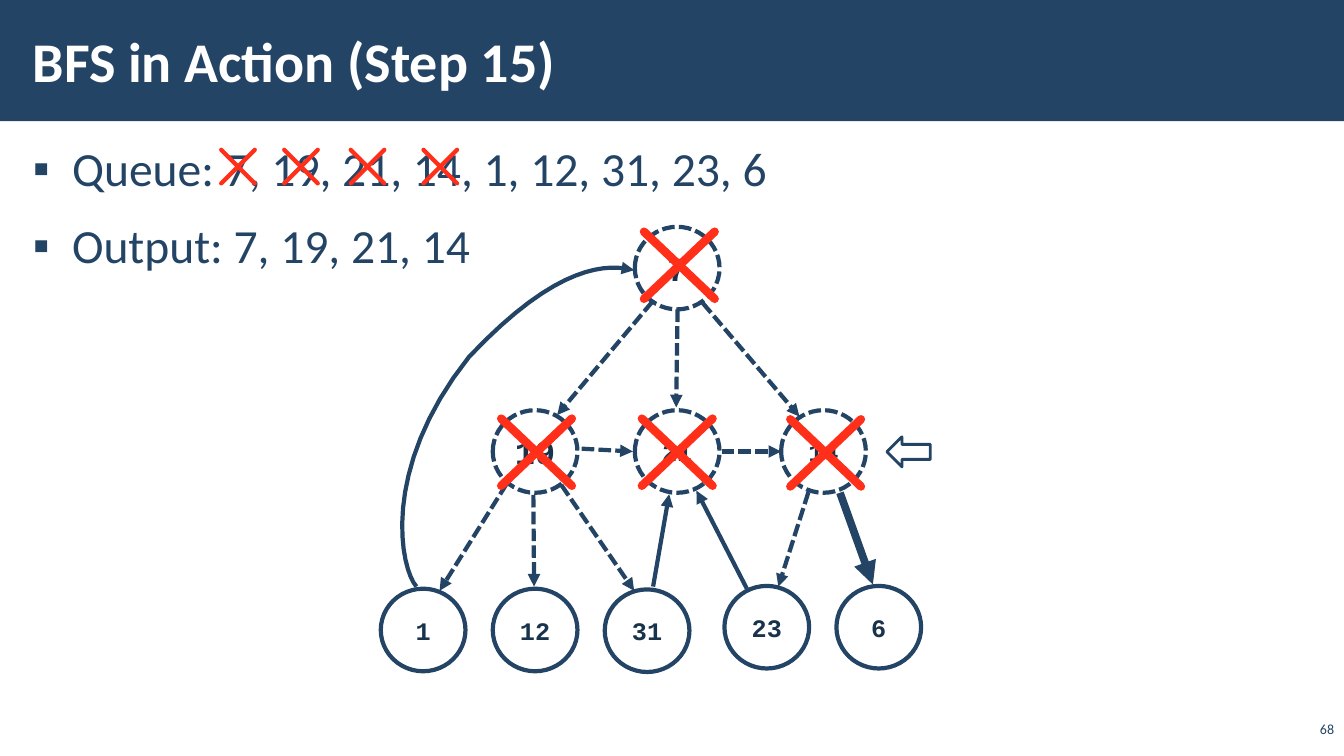
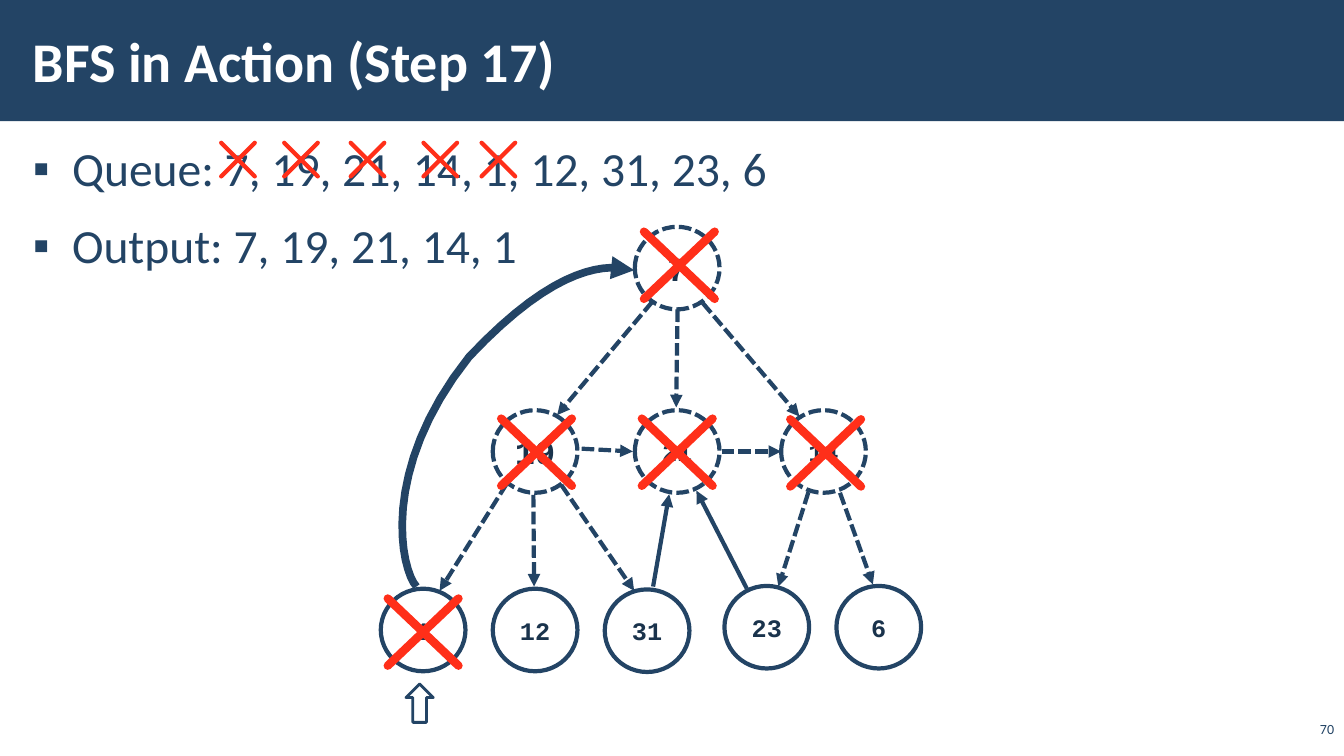
"""Build two slides that trace a breadth-first search on a small graph."""
from lxml.etree import SubElement
from pptx import Presentation
from pptx.dml.color import RGBColor
from pptx.enum.dml import MSO_LINE_DASH_STYLE as Dash
from pptx.enum.shapes import MSO_CONNECTOR as Connector
from pptx.enum.shapes import MSO_SHAPE as Shape
from pptx.enum.text import MSO_ANCHOR as Anchor
from pptx.enum.text import MSO_AUTO_SIZE as AutoSize
from pptx.enum.text import PP_ALIGN as Align
from pptx.oxml.ns import qn
from pptx.util import Pt

NAVY, DARK, RED, WHITE = "234465", "1A334C", "FF2F19", "FFFFFF"
NODE_WIDTH, NODE_HEIGHT = 60.5, 59
NODES = {
    "7": (453.5, 162, 24),
    "19": (352, 293, 24),
    "21": (453.5, 293, 18),
    "14": (558, 293, 18),
    "1": (272, 420.5, 18),
    "12": (352, 420.5, 18),
    "31": (432, 421, 18),
    "23": (517.5, 418.5, 18),
    "6": (597.5, 418.5, 18),
}
EXPLORED = ["7", "19", "21", "14"]
EDGES = {
    ("7", "19"): (466, 215.5, 398, 296.5),
    ("7", "21"): (484, 221, 483, 291),
    ("7", "14"): (502, 216.5, 571, 297.5),
    ("19", "1"): (362, 345.5, 314, 422),
    ("19", "12"): (381, 353.5, 381.5, 419),
    ("19", "31"): (401, 346.5, 453, 422),
    ("19", "21"): (415.5, 320.5, 452, 322.5),
    ("21", "14"): (515.5, 322.5, 558, 322.5),
    ("14", "23"): (577.5, 351.5, 556, 419),
    ("14", "6"): (600, 352, 623.5, 417.5),
    ("31", "21"): (466.5, 419, 478, 353),
    ("23", "21"): (533.5, 420.5, 497.5, 350.5),
}
BACK_EDGE = ("1", "7")
BACK_CURVES = [
    [(297.5, 419), (286.5, 407), (270.5, 336), (335, 255)],
    [(335, 255), (399, 187), (435, 188.5), (453, 193)],
]
CURVE_STEPS = 16
NODE_CROSSES = {
    "7": (460, 165.5),
    "19": (358, 299),
    "21": (458.5, 299),
    "14": (564.5, 299.5),
    "1": (277, 427.5),
}
QUEUE_CROSS_LEFTS = [158, 203, 250.5, 302.5, 344]
STEPS = [
    {"number": 15, "page": "68", "visited": EXPLORED, "active": ("14", "6"),
     "cross_top": 107, "pointer": (633.5, 312, 31, 21.5, 180)},
    {"number": 17, "page": "70", "visited": EXPLORED + ["1"], "active": BACK_EDGE,
     "cross_top": 102, "pointer": (286, 492.5, 27.5, 19.5, 270)},
]


def color(value):
    return RGBColor.from_string(value)


def stroke(shape, value, width, dashed=False, arrow=False):
    shape.line.color.rgb = color(value)
    shape.line.width = Pt(width)
    if dashed:
        shape.line.dash_style = Dash.SQUARE_DOT
    outline = shape.element.spPr.find(qn("a:ln"))
    if dashed:
        outline.find(qn("a:prstDash")).set("val", "sysDash")
    if arrow:
        SubElement(outline, qn("a:tailEnd"), type="triangle")
    if value == RED:
        outline.set("cap", "rnd")
    if shape.element.spPr.find(qn("a:effectLst")) is None:
        SubElement(shape.element.spPr, qn("a:effectLst"))


deck = Presentation()
deck.slide_width, deck.slide_height = Pt(960), Pt(540)
layout = deck.slide_layouts[1]

for holder, frame in zip(layout.placeholders, [(15, 8, 765, 70), (15, 94.5, 930, 435.5)]):
    holder.left, holder.top, holder.width, holder.height = map(Pt, frame)
    text = holder.text_frame
    text.margin_left = text.margin_right = Pt(8.5)
    text.margin_top = text.margin_bottom = Pt(3)
    text.auto_size = AutoSize.NONE

for step in STEPS:
    page = deck.slides.add_slide(layout)
    shapes = page.shapes

    if step is STEPS[0]:
        band = shapes.add_shape(Shape.RECTANGLE, 0, 0, Pt(960), Pt(86.5))
        band.shadow.inherit = False
        band.fill.solid()
        band.fill.fore_color.rgb = color(NAVY)
        band.line.fill.background()
        layout.shapes.element.insert(2, band.element)

    title = shapes.title.text_frame
    title.text = f"BFS in Action (Step {step['number']})"
    title.vertical_anchor = Anchor.MIDDLE
    para = title.paragraphs[0]
    para.alignment = Align.LEFT
    span = para.runs[0]
    span.font.name, span.font.size, span.font.bold = "Calibri", Pt(40), True
    span.font.color.rgb = color(WHITE)

    body = page.placeholders[1].text_frame
    body.text = "Queue: 7, 19, 21, 14, 1, 12, 31, 23, 6\nOutput: " + ", ".join(step["visited"])
    for para in body.paragraphs:
        para.line_spacing = 1.05
        para.space_before = para.space_after = Pt(6)
        properties = para._p.get_or_add_pPr()
        properties.set("marL", str(Pt(28)))
        properties.set("indent", str(Pt(-28)))
        SubElement(properties, qn("a:buChar"), char="▪")
        span = para.runs[0]
        span.font.name, span.font.size = "Calibri", Pt(34)
        span.font.color.rgb = color(NAVY)

    box = shapes.add_textbox(Pt(926), Pt(514), Pt(34), Pt(16))
    box.text_frame.word_wrap = True
    box.text_frame.vertical_anchor = Anchor.BOTTOM
    box.text_frame.text = step["page"]
    para = box.text_frame.paragraphs[0]
    para.alignment = Align.RIGHT
    span = para.runs[0]
    span.font.name, span.font.size = "Calibri", Pt(10)
    span.font.color.rgb = color(NAVY)

    for label, (left, top, size) in NODES.items():
        node = shapes.add_shape(Shape.OVAL, Pt(left), Pt(top), Pt(NODE_WIDTH), Pt(NODE_HEIGHT))
        node.shadow.inherit = False
        node.fill.solid()
        node.fill.fore_color.rgb = color(WHITE)
        stroke(node, NAVY, 3, dashed=label in EXPLORED)
        node.text_frame.word_wrap = False
        node.text_frame.vertical_anchor = Anchor.MIDDLE
        node.text_frame.text = label
        para = node.text_frame.paragraphs[0]
        para.alignment = Align.CENTER
        span = para.runs[0]
        span.font.name, span.font.size, span.font.bold = "Courier New", Pt(size), True
        span.font.color.rgb = color(DARK)

    for edge, ends in EDGES.items():
        active = edge == step["active"]
        line = shapes.add_connector(Connector.STRAIGHT, *map(Pt, ends))
        stroke(line, NAVY, 5.5 if active else 3, edge[0] in EXPLORED and not active, arrow=True)

    points = []
    for start, first, second, end in BACK_CURVES:
        for index in range(1, CURVE_STEPS + 1):
            t = index / CURVE_STEPS
            weights = ((1 - t) ** 3, 3 * t * (1 - t) ** 2, 3 * t ** 2 * (1 - t), t ** 3)
            points.append(tuple(
                Pt(sum(weight * value for weight, value in zip(weights, axis)))
                for axis in zip(start, first, second, end)))
    builder = shapes.build_freeform(*map(Pt, BACK_CURVES[0][0]))
    builder.add_line_segments(points, close=False)
    curve = builder.convert_to_shape()
    curve.shadow.inherit = False
    curve.fill.background()
    stroke(curve, NAVY, 5.5 if step["active"] == BACK_EDGE else 3, arrow=True)

    crosses = [(*NODE_CROSSES[label], 50.5, 48, 6) for label in step["visited"]]
    crosses += [(left, step["cross_top"], 24, 24, 3)
                for left in QUEUE_CROSS_LEFTS[:len(step["visited"])]]
    for left, top, width, height, weight in crosses:
        right, bottom = left + width, top + height
        for ends in [(left, top, right, bottom), (right, top, left, bottom)]:
            line = shapes.add_connector(Connector.STRAIGHT, *map(Pt, ends))
            stroke(line, RED, weight)

    *frame, angle = step["pointer"]
    pointer = shapes.add_shape(Shape.RIGHT_ARROW, *map(Pt, frame))
    pointer.rotation = angle
    pointer.shadow.inherit = False
    pointer.fill.solid()
    pointer.fill.fore_color.rgb = color(WHITE)
    stroke(pointer, NAVY, 2)

deck.save("out.pptx")
